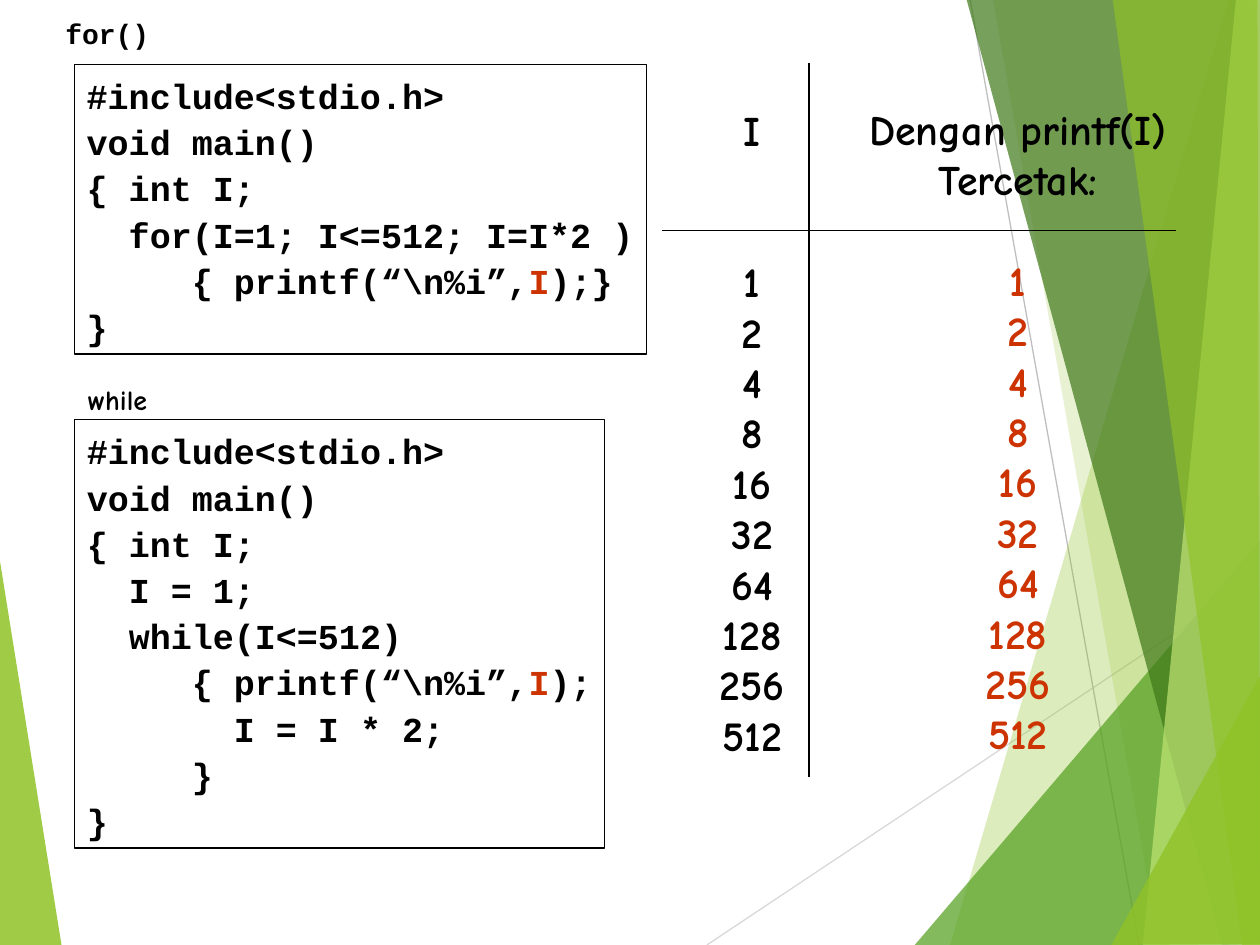
from lxml.etree import SubElement
from pptx import Presentation
from pptx.dml.color import RGBColor as RGB
from pptx.enum.shapes import MSO_CONNECTOR as LINK, MSO_SHAPE as FORM
from pptx.enum.text import MSO_ANCHOR as ANCHOR, MSO_AUTO_SIZE as AUTO, PP_ALIGN as ALIGN
from pptx.oxml.ns import qn
from pptx.util import Inches, Pt

INK = {
    "black": "000000", "red": "CC3300", "pale": "D9D9D9", "gray": "BFBFBF",
    "lime": "90C226", "green": "54A021", "dark": "3F7819", "light": "C0E474",
}
CODE, HAND = "Courier New", "Comic Neue"
PITCH = 28.8

BACK = [
    ("lime", 85, [(-0.01, 4.39), (0.49, 7.51), (-0.01, 7.5)]),
]
FACETS = [
    ("lime", 30, [(9.75, 0), (7.54, 7.5), (10.02, 7.51), (10.01, 0.01)]),
    ("lime", 20, [(7.88, -0.01), (9.2, 7.5), (10.01, 7.5), (10.01, -0.01)]),
    ("green", 72, [(7.26, 7.5), (10, 4.29), (10.01, 7.5)]),
    ("dark", 70, [(7.67, -0.01), (9.7, 7.5), (10.01, 7.49), (10.01, -0.01)]),
    ("light", 70, [(9.81, -0.01), (9.07, 7.5), (10.01, 7.5), (10, -0.01)]),
    ("lime", 65, [(8.83, -0.01), (9.86, 7.5), (10, 7.5), (9.98, -0.01)]),
    ("lime", 80, [(8.82, 7.5), (10.01, 5.35), (10.01, 7.49)]),
]
START = ["#include<stdio.h>", "void main()", "{ int I;"]
FOR = START + [
    "  for(I=1; I<=512; I=I*2 )",
    "     { printf(“\\n%i”,|I|);}",
    "}",
]
WHILE = START + [
    "  I = 1;",
    "  while(I<=512)",
    "     { printf(“\\n%i”,|I|);",
    "       I = I * 2;",
    "     }",
    "}",
]
POWERS = [str(2 ** n) for n in range(10)]


def facet(slide, ink, alpha, points):
    """Draw a see-through polygon."""
    spots = [(Inches(x), Inches(y)) for x, y in points]
    maker = slide.shapes.build_freeform(*spots[0], scale=1.0)
    maker.add_line_segments(spots[1:], close=True)
    shape = maker.convert_to_shape()
    shape.shadow.inherit = False
    shape.line.fill.background()
    shape.fill.solid()
    shape.fill.fore_color.rgb = RGB.from_string(INK[ink])
    tint = shape.fill._xPr.find(".//" + qn("a:srgbClr"))
    SubElement(tint, qn("a:alpha")).set("val", str(alpha * 1000))


def rule(slide, ink, *ends):
    """Draw a thin straight line."""
    line = slide.shapes.add_connector(LINK.STRAIGHT, *map(Inches, ends))
    line.line.color.rgb = RGB.from_string(INK[ink])
    line.line.width = Pt(0.75)
    SubElement(line._element.spPr, qn("a:effectLst"))


def style(run, face, size, ink):
    """Format one run in bold."""
    looks = {"name": face, "size": Pt(size), "bold": True}
    for key, value in looks.items():
        setattr(run.font, key, value)
    run.font.color.rgb = RGB.from_string(INK[ink])


def write(shape, lines, face, size, ink="black", **form):
    """Fill a shape with lines, where text between bars is red."""
    frame = shape.text_frame
    looks = {"word_wrap": False, "auto_size": AUTO.SHAPE_TO_FIT_TEXT,
             "vertical_anchor": ANCHOR.TOP}
    for key, value in looks.items():
        setattr(frame, key, value)
    for n, line in enumerate(lines):
        para = frame.add_paragraph() if n else frame.paragraphs[0]
        for key, value in {"alignment": ALIGN.LEFT, **form}.items():
            setattr(para, key, value)
        for m, part in enumerate(line.split("|")):
            run = para.add_run()
            run.text = part
            style(run, face, size, "red" if m % 2 else ink)
    return frame


def label(slide, box, text, face):
    """Add a small heading."""
    write(slide.shapes.add_textbox(*map(Inches, box)), [text], face, 16)


def code(slide, box, lines):
    """Add a framed code listing."""
    shape = slide.shapes.add_shape(FORM.RECTANGLE, *map(Inches, box))
    shape.shadow.inherit = False
    shape.fill.background()
    shape.line.color.rgb = RGB.from_string(INK["black"])
    shape.line.width = Pt(0.75)
    write(shape, lines, CODE, 20, line_spacing=1.1)


def column(slide, box, heads, ink):
    """Add a headed column of the printed values."""
    shape = slide.shapes.add_textbox(*map(Inches, box))
    frame = write(shape, heads + POWERS, HAND, 24, ink, alignment=ALIGN.CENTER)
    top = len(heads)
    for para in frame.paragraphs[:top]:
        style(para.runs[0], HAND, 24, "black")
    frame.paragraphs[top].space_before = Pt(PITCH * (3 - top))


def main():
    """Build and save the slide."""
    deck = Presentation()
    deck.slide_width, deck.slide_height = Inches(10), Inches(7.5)
    slide = deck.slides.add_slide(deck.slide_layouts[6])
    for item in BACK:
        facet(slide, *item)
    rule(slide, "pale", 5.61, 7.5, 10.01, 4.57)
    rule(slide, "gray", 7.7, 0, 9.04, 7.5)
    for item in FACETS:
        facet(slide, *item)
    code(slide, (0.59, 0.51, 4.54, 2.3), FOR)
    label(slide, (0.42, 0.08, 0.92, 0.37), "for()", CODE)
    code(slide, (0.59, 3.33, 4.21, 3.4), WHILE)
    label(slide, (0.6, 2.99, 0.7, 0.37), "while", HAND)
    column(slide, (5.58, 0.78, 0.78, 5.3), ["I"], "black")
    column(slide, (6.78, 0.77, 2.6, 5.3), ["Dengan printf(I)", "Tercetak:"], "red")
    rule(slide, "black", 5.25, 1.83, 9.33, 1.83)
    rule(slide, "black", 6.42, 0.5, 6.42, 6.17)
    deck.save("out.pptx")


if __name__ == "__main__":
    main()
